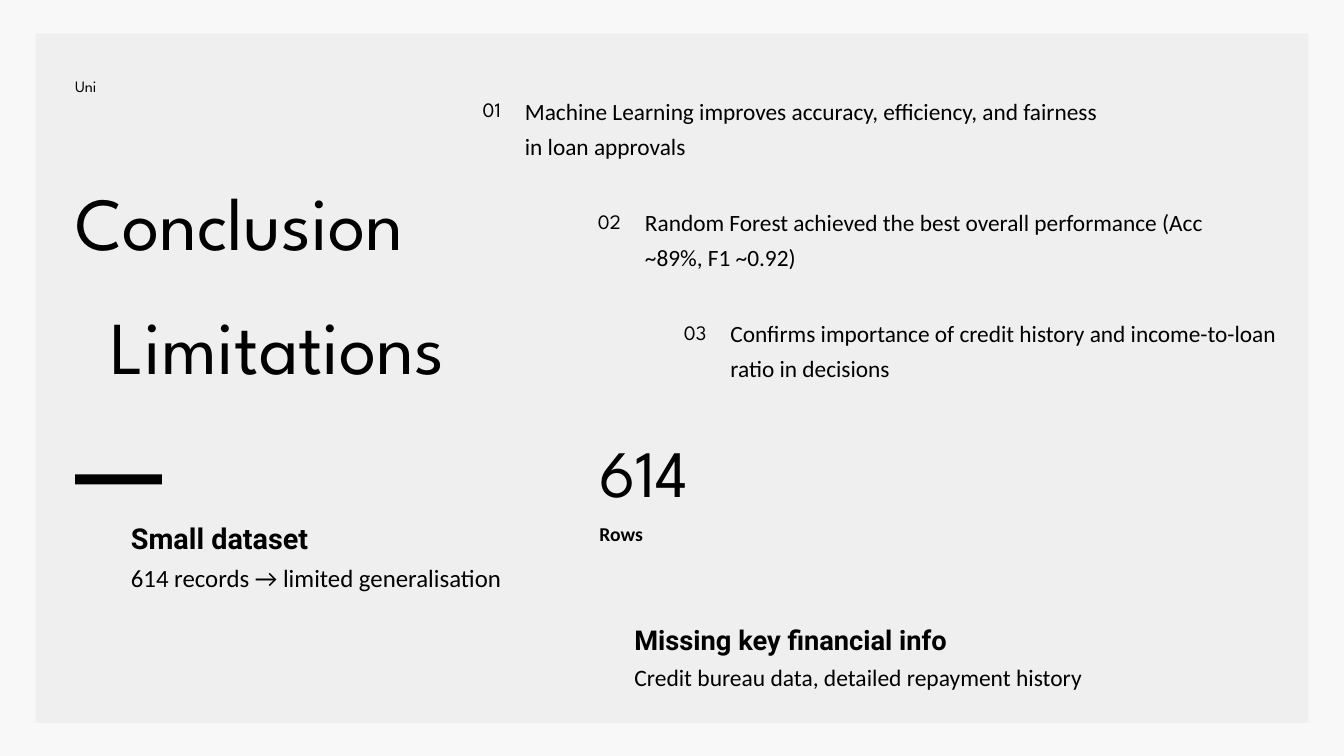
from pptx import Presentation
from pptx.dml.color import RGBColor
from pptx.enum.shapes import MSO_SHAPE as Shape
from pptx.enum.text import MSO_ANCHOR as Anchor, MSO_AUTO_SIZE as AutoSize, PP_ALIGN as Align
from pptx.util import Cm, Pt

COLORS = {"background": "F8F8F8", "panel": "EFEFEF", "ink": "000000"}
DISPLAY, BODY, HEADING = "League Spartan", "Calibri", "Roboto"
LEADING = {DISPLAY: 1.4, BODY: 1.5, HEADING: 1.5}  # line spacing per font
TITLE_LEADING = 1.1

# Content: boxes are left, top, width, height in cm
TITLE = ("Conclusion", (2.84, 6.93, 19.3, 3.2))
SUBTITLE = ("Limitations", (4.19, 11.61, 40.92, 3.2))
LABEL = ("Uni", (2.84, 2.77, 12.01, 0.79))
CONCLUSIONS = [  # left, top, text
    (19.84, 3.4, "Machine Learning improves accuracy, efficiency, and fairness in loan approvals"),
    (24.38, 7.62, "Random Forest achieved the best overall performance (Acc ~89%, F1 ~0.92)"),
    (27.61, 11.81, "Confirms importance of credit history and income-to-loan ratio in decisions"),
]
LIMITATIONS = [  # box, heading, heading size, detail, detail size
    ((4.95, 19.35, 22.99, 2.95), "Small dataset", 30.8,
     "614 records → limited generalisation", 26.6),
    ((23.98, 23.27, 21.79, 2.82), "Missing key financial info", 29.2,
     "Credit bureau data, detailed repayment history", 25.2),
]
STATISTIC = [  # box, text, size, font, bold
    ((22.66, 15.82, 13.77, 3.28), "614", 71, DISPLAY, False),
    ((22.66, 19.51, 13.77, 1.02), "Rows", 21, BODY, True),
]
PANEL = (1.35, 1.27, 48.11, 26.06)
RULE = (2.84, 17.93, 3.28, 0.38)


def color(name):
    return RGBColor.from_string(COLORS[name])


def write(shape, lines, align=Align.LEFT, leading=None):
    """Fill a shape with lines of (text, size, font, bold)."""
    frame = shape.text_frame
    frame.word_wrap = True
    frame.auto_size = AutoSize.NONE
    frame.vertical_anchor = Anchor.TOP
    frame.margin_left = frame.margin_right = frame.margin_top = frame.margin_bottom = 0
    frame.text = "\n".join(line[0] for line in lines)
    for paragraph, (_, size, font, bold) in zip(frame.paragraphs, lines):
        paragraph.alignment = align
        paragraph.line_spacing = Pt(round(size * (leading or LEADING[font]), 1))
        paragraph.space_before = paragraph.space_after = Pt(0)
        run_font = paragraph.runs[0].font
        run_font.name, run_font.size, run_font.bold = font, Pt(size), bold
        run_font.color.rgb = color("ink")


def add_text(slide, box, lines, **options):
    write(slide.shapes.add_textbox(*map(Cm, box)), lines, **options)


def add_block(slide, box, fill):
    shape = slide.shapes.add_shape(Shape.RECTANGLE, *map(Cm, box))
    shape.shadow.inherit = False
    shape.fill.solid()
    shape.fill.fore_color.rgb = color(fill)
    shape.line.fill.background()
    return shape


def main():
    presentation = Presentation()
    presentation.slide_width, presentation.slide_height = Cm(50.8), Cm(28.58)
    slide = presentation.slides.add_slide(presentation.slide_layouts[5])
    slide.background.fill.solid()
    slide.background.fill.fore_color.rgb = color("background")

    # Panel behind the title, and the short rule
    panel = add_block(slide, PANEL, "panel")
    title = slide.shapes.title
    title._element.addprevious(panel._element)
    add_block(slide, RULE, "ink")

    # Titles and label
    text, box = TITLE
    title.left, title.top, title.width, title.height = map(Cm, box)
    write(title, [(text, 80, DISPLAY, False)], leading=TITLE_LEADING)
    text, box = SUBTITLE
    add_text(slide, box, [(text, 80, DISPLAY, False)], leading=TITLE_LEADING)
    text, box = LABEL
    add_text(slide, box, [(text, 17, DISPLAY, False)], align=Align.JUSTIFY)

    # Numbered conclusions
    for number, (left, top, text) in enumerate(CONCLUSIONS, 1):
        add_text(slide, (left, top, 21.64, 2.49), [(text, 25, BODY, False)])
        add_text(slide, (left - 2.21, top + 0.12, 1.3, 1.04),
                 [(f"{number:02d}", 22, DISPLAY, False)], align=Align.RIGHT)

    # Limitations
    for box, heading, heading_size, detail, detail_size in LIMITATIONS:
        add_text(slide, box, [(heading, heading_size, HEADING, True),
                              (detail, detail_size, BODY, False)])

    # Dataset size
    for box, *line in STATISTIC:
        add_text(slide, box, [line])

    presentation.save("out.pptx")


if __name__ == "__main__":
    main()
